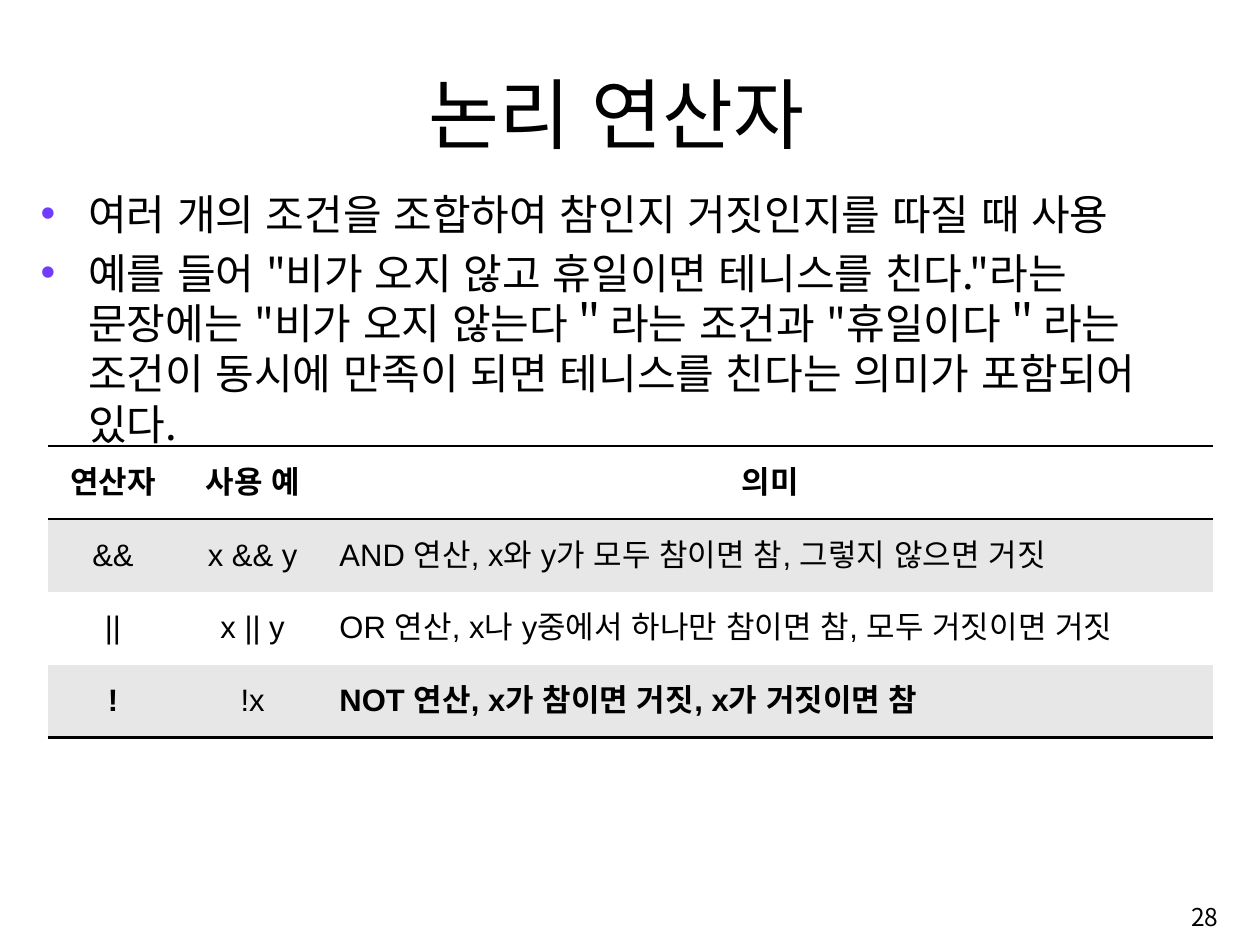
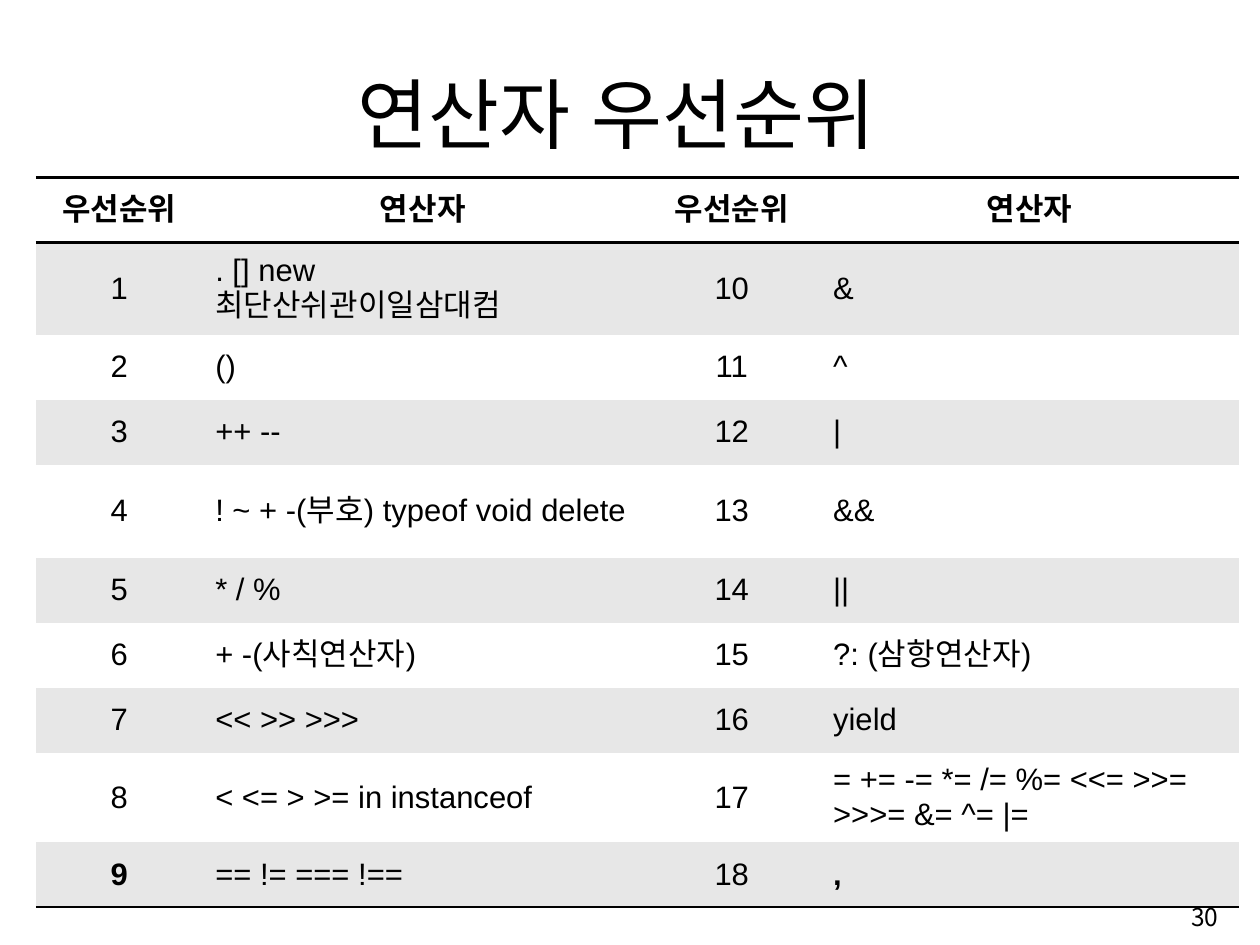
import pptx
import pptx.dml.color
import pptx.enum.text
import pptx.oxml.ns
import pptx.util
from lxml import etree

Inches, Pt = pptx.util.Inches, pptx.util.Pt
RGBColor = pptx.dml.color.RGBColor
ALIGN, ANCHOR = pptx.enum.text.PP_ALIGN, pptx.enum.text.MSO_ANCHOR
qn = pptx.oxml.ns.qn

BLACK = RGBColor(0x00, 0x00, 0x00)
WHITE = RGBColor(0xFF, 0xFF, 0xFF)
BAND = RGBColor(0xE7, 0xE7, 0xE7)
BULLET = RGBColor(0x70, 0x3D, 0xFF)
KOREAN, LATIN = "Noto Sans CJK KR", "Arial"
PLAIN_TABLE = "{2D5ABB26-0587-4C30-8999-92F81FD0307C}"

SLIDES = [
    {
        "title": "논리 연산자",
        "number": "28",
        "bullets": [
            "여러 개의 조건을 조합하여 참인지 거짓인지를 따질 때 사용",
            '예를 들어 "비가 오지 않고 휴일이면 테니스를 친다."라는 문장에는 '
            '"비가 오지 않는다＂라는 조건과 "휴일이다＂라는 조건이 동시에 만족이 되면 '
            "테니스를 친다는 의미가 포함되어 있다.",
        ],
        "table": {
            "at": (0.49, 4.6),
            "columns": (1.35, 1.53, 9.14),
            "row_height": 0.75,
            "tall_rows": {},
            "centred": (0, 1),
            "bold": {(3, 0), (3, 2)},
            "rows": [
                ("연산자", "사용 예", "의미"),
                ("&&", "x && y", "AND 연산, x와 y가 모두 참이면 참, 그렇지 않으면 거짓"),
                ("||", "x || y", "OR 연산, x나 y중에서 하나만 참이면 참, 모두 거짓이면 거짓"),
                ("!", "!x", "NOT 연산, x가 참이면 거짓, x가 거짓이면 참"),
            ],
        },
    },
    {
        "title": "연산자 우선순위",
        "number": "30",
        "bullets": [],
        "table": {
            "at": (0.37, 1.83),
            "columns": (1.72, 4.54, 1.83, 4.31),
            "row_height": 0.67,
            "tall_rows": {1: 0.95, 4: 0.96, 8: 0.92},
            "centred": (0, 2),
            "bold": {(9, 0), (9, 3)},
            "rows": [
                ("우선순위", "연산자", "우선순위", "연산자"),
                ("1", ". [] new\n최단산쉬관이일삼대컴", "10", "&"),
                ("2", "()", "11", "^"),
                ("3", "++ --", "12", "|"),
                ("4", "! ~ + -(부호) typeof void delete", "13", "&&"),
                ("5", "* / %", "14", "||"),
                ("6", "+ -(사칙연산자)", "15", "?: (삼항연산자)"),
                ("7", "<< >> >>>", "16", "yield"),
                ("8", "< <= > >= in instanceof", "17",
                 "= += -= *= /= %= <<= >>= >>>= &= ^= |="),
                ("9", "== != === !==", "18", ","),
            ],
        },
    },
]


def write(frame, lines, size, font=KOREAN, align=ALIGN.LEFT, bold=False):
    """Put each line in its own paragraph and return the paragraphs."""
    for index, line in enumerate(lines):
        paragraph = frame.paragraphs[0] if index == 0 else frame.add_paragraph()
        paragraph.alignment = align
        run = paragraph.add_run()
        run.text = line
        run.font.size = Pt(size)
        run.font.name = font
        run.font.bold = bold
        run.font.color.rgb = BLACK
        east_asian = etree.SubElement(run.font._element, qn("a:ea"))
        east_asian.set("typeface", LATIN)
    return frame.paragraphs


def add_text(slide, box, lines, size, align=ALIGN.LEFT, anchor=ANCHOR.TOP):
    frame = slide.shapes.add_textbox(*map(Inches, box)).text_frame
    frame.word_wrap = True
    frame.vertical_anchor = anchor
    return write(frame, lines, size, align=align)


def add_bullets(slide, bullets):
    for paragraph in add_text(slide, (0.32, 1.89, 12.32, 7.06), bullets, 31.2):
        paragraph.space_before = Pt(6.2)
        properties = paragraph._p.get_or_add_pPr()
        properties.set("marL", str(Inches(0.49)))
        properties.set("indent", str(-Inches(0.49)))
        colour = etree.SubElement(properties, qn("a:buClr"))
        etree.SubElement(colour, qn("a:srgbClr")).set("val", str(BULLET))
        etree.SubElement(properties, qn("a:buFont")).set("typeface", LATIN)
        etree.SubElement(properties, qn("a:buChar")).set("char", "•")


def add_rule(cell, side):
    """Draw a black 2 pt border; side is lnT or lnB."""
    line = etree.SubElement(cell._tc.get_or_add_tcPr(), qn("a:" + side))
    line.set("w", str(Pt(2)))
    fill = etree.SubElement(line, qn("a:solidFill"))
    etree.SubElement(fill, qn("a:srgbClr")).set("val", str(BLACK))


def add_operator_table(slide, content):
    rows, columns = content["rows"], content["columns"]
    heights = [content["tall_rows"].get(r, content["row_height"]) for r in range(len(rows))]
    size = (sum(columns), sum(heights))
    table = slide.shapes.add_table(
        len(rows), len(columns), *map(Inches, content["at"] + size)).table
    table._tbl.tblPr.find(qn("a:tableStyleId")).text = PLAIN_TABLE
    table.horz_banding = False
    for column, width in zip(table.columns, columns):
        column.width = Inches(width)
    for r, (row, height) in enumerate(zip(rows, heights)):
        table.rows[r].height = Inches(height)
        for c, text in enumerate(row):
            cell = table.cell(r, c)
            header = r == 0
            cell.margin_left = cell.margin_right = Inches(0.13)
            cell.margin_top = cell.margin_bottom = Inches(0.06)
            cell.vertical_anchor = ANCHOR.MIDDLE
            if header:
                add_rule(cell, "lnT")
            if header or r == len(rows) - 1:
                add_rule(cell, "lnB")
            cell.fill.solid()
            cell.fill.fore_color.rgb = BAND if r % 2 else WHITE
            centred = header or c in content["centred"]
            write(cell.text_frame, text.split("\n"), 23, LATIN,
                  ALIGN.CENTER if centred else ALIGN.LEFT,
                  header or (r, c) in content["bold"])


def main():
    deck = pptx.Presentation()
    deck.slide_width, deck.slide_height = Inches(12.99), Inches(9.74)
    for content in SLIDES:
        slide = deck.slides.add_slide(deck.slide_layouts[6])
        add_text(slide, (1.05, 0.61, 10.61, 1.08), [content["title"]], 57.2,
                 ALIGN.CENTER, ANCHOR.BOTTOM)
        if content["bullets"]:
            add_bullets(slide, content["bullets"])
        add_operator_table(slide, content["table"])
        add_text(slide, (9.98, 9.15, 2.68, 0.6), [content["number"]], 18.2,
                 ALIGN.RIGHT, ANCHOR.MIDDLE)
    deck.save("out.pptx")


if __name__ == "__main__":
    main()
